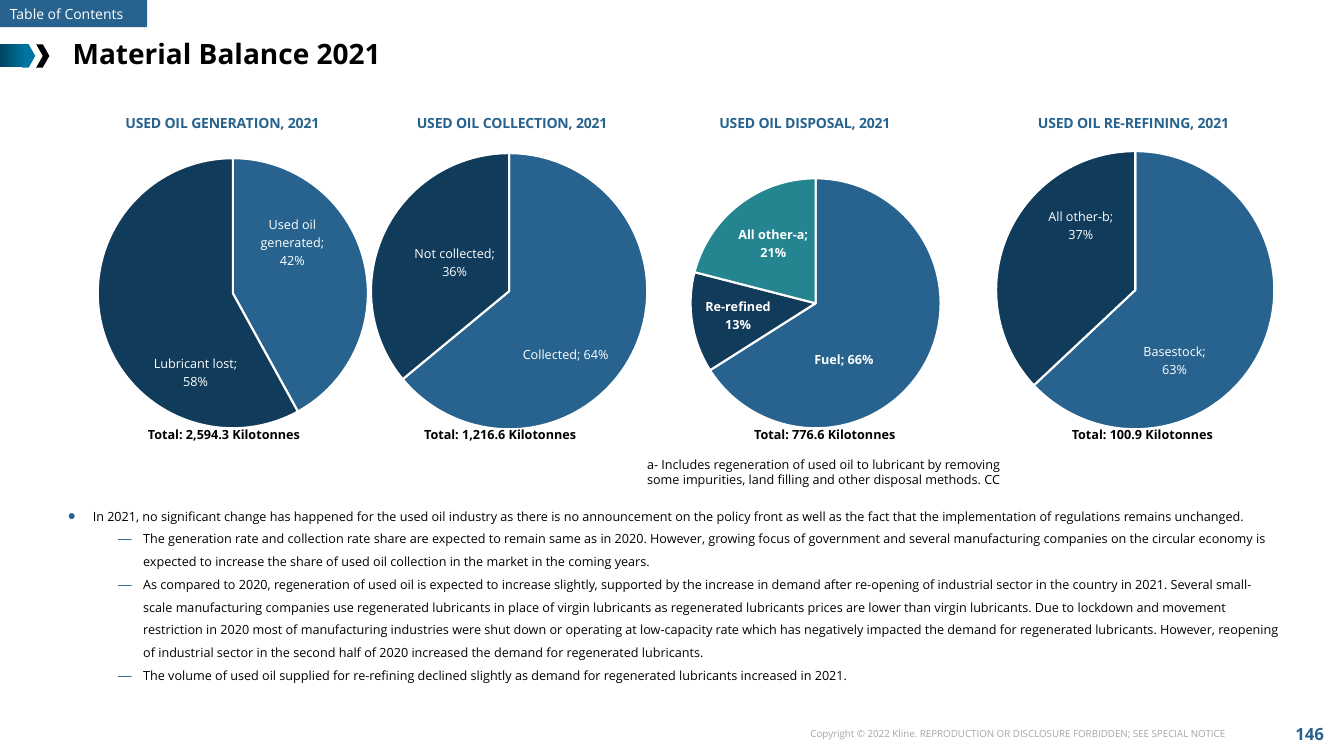
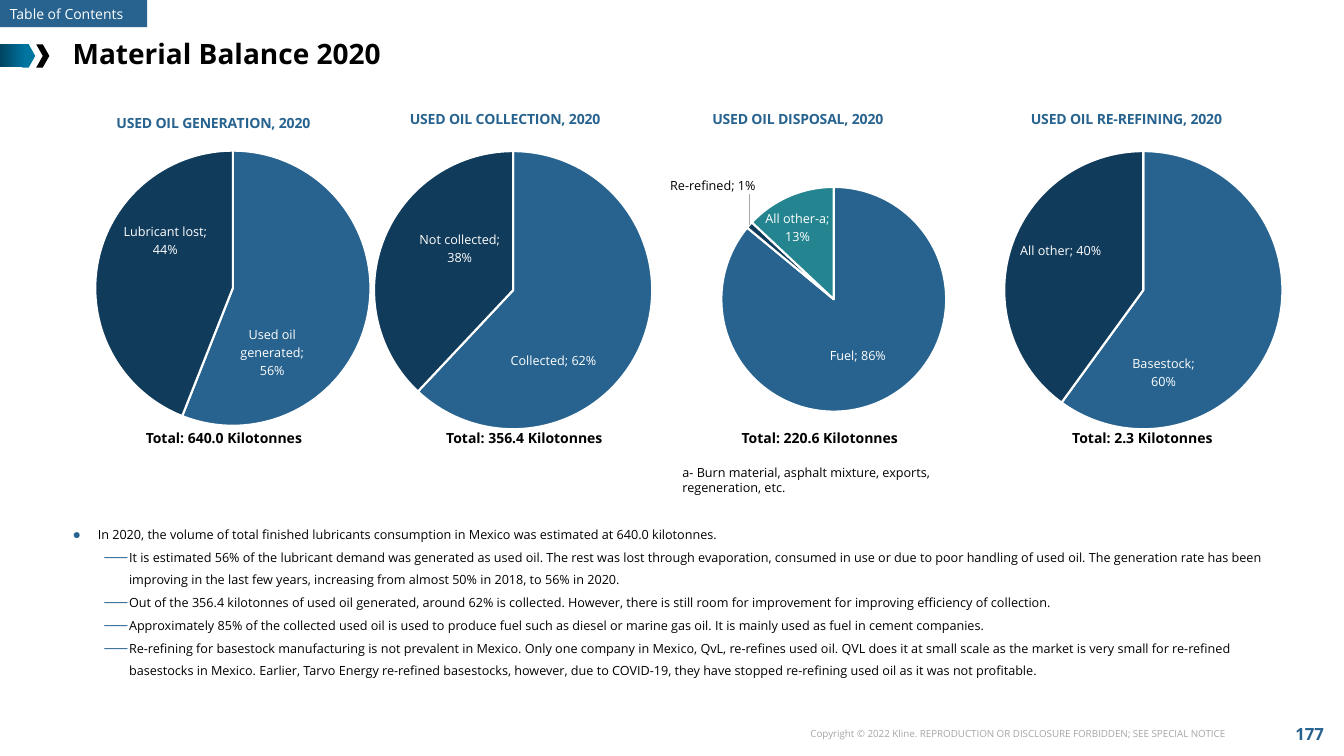
import math
from dataclasses import dataclass

from pptx import Presentation
from pptx import util as u
from pptx.chart.data import CategoryChartData
from pptx.dml.color import RGBColor
from pptx.enum import chart as ch, shapes, text
from pptx.oxml import parse_xml
from pptx.oxml.ns import nsdecls, qn

FONT = "Open Sans"
BLUE, NAVY, TEAL = "27638E", "113B5A", "248591"
BLACK, WHITE, GREY = "000000", "FFFFFF", "A6A6A6"
SLICE_COLOURS = (BLUE, NAVY, TEAL)
CHART_TOP, CHART_W, CHART_H = 0.96, 4.72, 3.43
LEFT, CENTER, RIGHT = text.PP_ALIGN.LEFT, text.PP_ALIGN.CENTER, text.PP_ALIGN.RIGHT
COPYRIGHT = ("Copyright © 2022 Kline. REPRODUCTION OR DISCLOSURE FORBIDDEN; "
             "SEE SPECIAL NOTICE")


@dataclass
class Slice:
    category: str
    share: float
    label_at: tuple          # label centre, inches from the chart's corner
    lines: tuple = ()        # label text with fixed breaks, one entry a line
    colour: str = WHITE


@dataclass
class Pie:
    heading: str
    left: float
    heading_at: tuple        # inches from the chart's corner
    centre: tuple
    diameter: float
    slices: list
    bold: bool = False


@dataclass
class Balance:
    title: str
    page: str
    pies: list
    totals: list             # (left, text)
    totals_box: tuple        # top, height, size
    note: str
    note_box: tuple
    bullets: list
    bullets_box: tuple
    dash: str
    dash_scale: int
    dash_indent: float


def rgb(value):
    return RGBColor.from_string(value)


def inches(box):
    return [u.Inches(v) for v in box]


def style(paragraph, size, colour, bold=False, align=LEFT):
    paragraph.alignment = align
    for run in paragraph.runs:
        font = run.font
        font.name, font.size, font.bold = FONT, u.Pt(size), bold
        font.color.rgb = rgb(colour)


def add_text(slide, box, words, size, colour=BLACK, bold=False, align=LEFT,
             wrap=True, anchor=text.MSO_ANCHOR.TOP):
    frame = slide.shapes.add_textbox(*inches(box)).text_frame
    frame.word_wrap, frame.vertical_anchor = wrap, anchor
    frame.text = words
    style(frame.paragraphs[0], size, colour, bold, align)


def add_block(slide, preset, box, colour):
    block = slide.shapes.add_shape(preset, *inches(box))
    block.shadow.inherit = False
    block.line.fill.background()
    block.fill.solid()
    block.fill.fore_color.rgb = rgb(colour)
    return block


def add_frame(slide, page):
    """Contents tab, title marker and footer."""
    add_text(slide, (12.68, 7.07, 0.62, 0.43), page, 12, BLUE, True, CENTER,
             anchor=text.MSO_ANCHOR.MIDDLE)
    add_text(slide, (7.71, 7.17, 4.54, 0.22), COPYRIGHT, 7, GREY,
             align=RIGHT, wrap=False)
    preset = shapes.MSO_SHAPE
    marker = add_block(slide, preset.RECTANGLE, (0, 0.44, 0.29, 0.23), "00668E")
    marker.fill.gradient()
    marker.fill.gradient_angle = 0
    for stop, colour in zip(marker.fill.gradient_stops, ("004461", "007BAA")):
        stop.color.rgb = rgb(colour)
    for left, colour in ((0.22, "00759E"), (0.36, BLACK)):
        add_block(slide, preset.CHEVRON, (left, 0.44, 0.13, 0.23), colour)
    tab = add_block(slide, preset.RECTANGLE, (0, 0, 1.46, 0.27), BLUE).text_frame
    tab.word_wrap = False
    tab.vertical_anchor = text.MSO_ANCHOR.MIDDLE
    tab.text = "Table of Contents"
    style(tab.paragraphs[0], 10, WHITE)


def place(placeholder, box):
    placeholder.left, placeholder.top, placeholder.width, placeholder.height = inches(box)
    frame = placeholder.text_frame
    frame.auto_size, frame.word_wrap = text.MSO_AUTO_SIZE.NONE, True
    return frame


def add_title(slide, words):
    frame = place(slide.shapes.title, (0.62, 0.31, 12, 0.44))
    frame.vertical_anchor = text.MSO_ANCHOR.MIDDLE
    frame.text = words
    style(frame.paragraphs[0], 20, BLACK, True)


def add_bullets(slide, balance):
    """One lead bullet followed by dashed points."""
    frame = place(slide.placeholders[1], balance.bullets_box)
    frame.text = "\n".join(balance.bullets)
    for i, paragraph in enumerate(frame.paragraphs):
        mark, scale, indent = (("●", 110, 0.25) if i == 0 else
                               (balance.dash, balance.dash_scale, balance.dash_indent))
        paragraph.level = min(i, 1)
        paragraph.line_spacing = 1.5
        paragraph.space_before = u.Pt(0)
        props = paragraph._p.get_or_add_pPr()
        props.set("marL", str(u.Inches(indent)))
        props.set("indent", str(u.Inches(-0.25)))
        for tag in (f'buClr {nsdecls("a")}><a:srgbClr val="{BLUE}"/></a:buClr',
                    f'buSzPct {nsdecls("a")} val="{scale * 1000}"/',
                    f'buChar {nsdecls("a")} char="{mark}"/'):
            props.append(parse_xml(f"<a:{tag}>"))
        style(paragraph, 9, BLACK)


def layout_xml(x, y, size=None, edge=True):
    """Manual layout in chart inches; without edge it is an offset."""
    parts = [("layoutTarget", "inner")] if size else []
    parts += [("xMode", "edge"), ("yMode", "edge")] if edge else []
    parts += [("x", x / CHART_W), ("y", y / CHART_H)]
    parts += [("w", size / CHART_W), ("h", size / CHART_H)] if size else []
    inner = "".join(f'<c:{tag} val="{value}"/>' for tag, value in parts)
    return (f'<c:layout {nsdecls("c")}><c:manualLayout>{inner}'
            "</c:manualLayout></c:layout>")


def set_layout(parent, position, xml):
    for old in parent.findall(qn("c:layout")):
        parent.remove(old)
    parent.insert(position, parse_xml(xml))


def labels_xml(pie):
    flags = ('<c:dLblPos val="ctr"/><c:showLegendKey val="0"/><c:showVal val="1"/>'
             '<c:showCatName val="1"/><c:showSerName val="0"/><c:showPercent val="0"/>'
             '<c:showBubbleSize val="0"/><c:separator>; </c:separator>')
    number = '<c:numFmt formatCode="0%" sourceLinked="0"/><c:spPr><a:noFill/></c:spPr>'

    def font_xml(tag, colour):
        return (f'<a:{tag} sz="900" b="{int(pie.bold)}"><a:solidFill><a:srgbClr '
                f'val="{colour}"/></a:solidFill><a:latin typeface="{FONT}"/></a:{tag}>')

    def text_props(colour):
        return (f'<c:txPr><a:bodyPr/><a:p><a:pPr>{font_xml("defRPr", colour)}</a:pPr>'
                "</a:p></c:txPr>")

    items, turned = "", 0
    for i, part in enumerate(pie.slices):
        angle = 2 * math.pi * (turned + part.share / 2)
        turned += part.share
        # Offset from the middle of the slice to the wanted label centre
        dx = part.label_at[0] - pie.centre[0] - pie.diameter / 4 * math.sin(angle)
        dy = part.label_at[1] - pie.centre[1] + pie.diameter / 4 * math.cos(angle)
        rich = "".join(f'<a:p><a:r>{font_xml("rPr", part.colour)}<a:t>{line}</a:t></a:r></a:p>'
                       for line in part.lines)
        rich = rich and f"<c:tx><c:rich><a:bodyPr/>{rich}</c:rich></c:tx>"
        items += (f'<c:dLbl><c:idx val="{i}"/>{layout_xml(dx, dy, edge=False)}{rich}'
                  f"{number}{text_props(part.colour)}{flags}</c:dLbl>")
    return (f'<c:dLbls {nsdecls("c", "a")}>{items}{number}{text_props(WHITE)}{flags}'
            '<c:showLeaderLines val="1"/><c:leaderLines><c:spPr><a:ln w="9525"><a:solidFill>'
            f'<a:srgbClr val="{GREY}"/></a:solidFill></a:ln></c:spPr></c:leaderLines></c:dLbls>')


def add_pie(slide, pie):
    data = CategoryChartData(number_format="0%")
    data.categories = [part.category for part in pie.slices]
    data.add_series("Series 1", [part.share for part in pie.slices])
    box = inches((pie.left, CHART_TOP, CHART_W, CHART_H))
    chart = slide.shapes.add_chart(ch.XL_CHART_TYPE.PIE, *box, data).chart
    chart.has_legend = False
    chart.font.name, chart.font.size = FONT, u.Pt(10)
    chart.font.color.rgb = rgb(BLACK)
    # Heading
    heading = chart.chart_title.text_frame
    heading.text = pie.heading
    style(heading.paragraphs[0], 10, BLUE, True, CENTER)
    chart.chart_title.include_in_layout = False
    set_layout(chart.element.xpath(".//c:chart/c:title")[0], 1, layout_xml(*pie.heading_at))
    # Round plot and clear background
    corner = [middle - pie.diameter / 2 for middle in pie.centre]
    set_layout(chart.element.xpath(".//c:plotArea")[0], 0, layout_xml(*corner, pie.diameter))
    chart.element.find(qn("c:chart")).addnext(parse_xml(
        f'<c:spPr {nsdecls("c", "a")}><a:noFill/><a:ln><a:noFill/></a:ln></c:spPr>'))
    # Slices and their labels
    chart.plots[0].vary_by_categories = True
    series = chart.plots[0].series[0]
    for i, colour in enumerate(SLICE_COLOURS[:len(pie.slices)]):
        look = series.points[i].format
        look.fill.solid()
        look.fill.fore_color.rgb = rgb(colour)
        look.line.color.rgb = rgb(WHITE)
        look.line.width = u.Pt(1.5)
    chart.element.xpath(".//c:ser/c:cat")[0].addprevious(parse_xml(labels_xml(pie)))


def add_balance_slide(deck, balance):
    slide = deck.slides.add_slide(deck.slide_layouts[1])
    add_frame(slide, balance.page)
    add_title(slide, balance.title)
    for pie in balance.pies:
        add_pie(slide, pie)
    top, height, size = balance.totals_box
    for left, total in balance.totals:
        add_text(slide, (left, top, 3.46, height), f"Total: {total} Kilotonnes", size,
                 bold=True, align=CENTER)
    add_bullets(slide, balance)
    add_text(slide, balance.note_box, balance.note, 9)


BALANCES = [
    Balance(
        "Material Balance 2021", "146",
        [Pie("USED OIL GENERATION, 2021", -0.14, (1.36, 0.13), (2.45, 1.95), 2.68,
             [Slice("Used oil generated", 0.42, (3.04, 1.45), ("Used oil", "generated;", "42%")),
              Slice("Lubricant lost", 0.58, (2.08, 2.74), ("Lubricant lost;", "58%"))]),
         Pie("USED OIL COLLECTION, 2021", 2.72, (1.39, 0.13), (2.33, 1.93), 2.74,
             [Slice("Collected", 0.64, (2.89, 2.56)),
              Slice("Not collected", 0.36, (1.79, 1.65), ("Not collected;", "36%"))]),
         Pie("USED OIL DISPOSAL, 2021", 5.63, (1.48, 0.13), (2.46, 2.05), 2.48,
             [Slice("Fuel", 0.66, (2.74, 2.61)),
              Slice("Re-refined", 0.13, (1.69, 2.17), ("Re-refined", "13%")),
              Slice("All other-a", 0.21, (2.04, 1.46), ("All other-a;", "21%"))], bold=True),
         Pie("USED OIL RE-REFINING, 2021", 8.89, (1.38, 0.13), (2.37, 1.92), 2.76,
             [Slice("Basestock", 0.63, (2.76, 2.62), ("Basestock;", "63%")),
              Slice("All other-b", 0.37, (1.83, 1.28), ("All other-b;", "37%"))])],
        [(0.49, "2,594.3"), (3.23, "1,216.6"), (6.45, "776.6"), (9.6, "100.9")],
        (4.19, 0.25, 9),
        "a- Includes regeneration of used oil to lubricant by removing some impurities, land filling and other disposal methods. CC",
        (6.32, 4.48, 4.03, 0.4),
        ["In 2021, no significant change has happened for the used oil industry as there is no announcement on the policy front as well as the fact that the implementation of regulations remains unchanged.",
         "The generation rate and collection rate share are expected to remain same as in 2020. However, growing focus of government and several manufacturing companies on the circular economy is expected to increase the share of used oil collection in the market in the coming years.",
         "As compared to 2020, regeneration of used oil is expected to increase slightly, supported by the increase in demand after re-opening of industrial sector in the country in 2021. Several small-scale manufacturing companies use regenerated lubricants in place of virgin lubricants as regenerated lubricants prices are lower than virgin lubricants. Due to lockdown and movement restriction in 2020 most of manufacturing industries were shut down or operating at low-capacity rate which has negatively impacted the demand for regenerated lubricants. However, reopening of industrial sector in the second half of 2020 increased the demand for regenerated lubricants.",
         "The volume of used oil supplied for re-refining declined slightly as demand for regenerated lubricants increased in 2021."],
        (0.57, 4.92, 12.22, 2.12), "—", 110, 0.75),
    Balance(
        "Material Balance 2020", "177",
        [Pie("USED OIL GENERATION, 2020", -0.14, (1.27, 0.13), (2.45, 1.9), 2.73,
             [Slice("Used oil generated", 0.56, (2.84, 2.54), ("Used oil", "generated;", "56%")),
              Slice("Lubricant lost", 0.44, (1.78, 1.43), ("Lubricant lost;", "44%"))]),
         Pie("USED OIL COLLECTION, 2020", 2.76, (1.28, 0.09), (2.33, 1.92), 2.76,
             [Slice("Collected", 0.62, (2.73, 2.62)),
              Slice("Not collected", 0.38, (1.8, 1.51), ("Not collected;", "38%"))]),
         Pie("USED OIL DISPOSAL, 2020", 5.66, (1.38, 0.09), (2.61, 2.01), 2.23,
             [Slice("Fuel", 0.86, (2.85, 2.57)),
              Slice("Re-refined", 0.01, (1.41, 0.88), colour=BLACK),
              Slice("All other-a", 0.13, (2.25, 1.3), ("All other-a;", "13%"))]),
         Pie("USED OIL RE-REFINING, 2020", 8.89, (1.31, 0.09), (2.45, 1.92), 2.76,
             [Slice("Basestock", 0.6, (2.65, 2.74), ("Basestock;", "60%")),
              Slice("All other", 0.4, (1.63, 1.53))])],
        [(0.49, "640.0"), (3.47, "356.4"), (6.4, "220.6"), (9.6, "2.3")],
        (4.21, 0.27, 10),
        "a- Burn material, asphalt mixture, exports, regeneration, etc.",
        (6.67, 4.56, 3.35, 0.4),
        ["In 2020, the volume of total finished lubricants consumption in Mexico was estimated at 640.0 kilotonnes.",
         "It is estimated 56% of the lubricant demand was generated as used oil. The rest was lost through evaporation, consumed in use or due to poor handling of used oil. The generation rate has been improving in the last few years, increasing from almost 50% in 2018, to 56% in 2020.",
         "Out of the 356.4 kilotonnes of used oil generated, around 62% is collected. However, there is still room for improvement for improving efficiency of collection.",
         "Approximately 85% of the collected used oil is used to produce fuel such as diesel or marine gas oil. It is mainly used as fuel in cement companies.",
         "Re-refining for basestock manufacturing is not prevalent in Mexico. Only one company in Mexico, QvL, re-refines used oil. QVL does it at small scale as the market is very small for re-refined basestocks in Mexico. Earlier, Tarvo Energy re-refined basestocks, however, due to COVID-19, they have stopped re-refining used oil as it was not profitable."],
        (0.62, 5.1, 12.08, 1.66), "⸺", 100, 0.56),
]


def main():
    deck = Presentation()
    deck.slide_width, deck.slide_height = u.Inches(13.33), u.Inches(7.5)
    for balance in BALANCES:
        add_balance_slide(deck, balance)
    deck.save("out.pptx")


if __name__ == "__main__":
    main()
